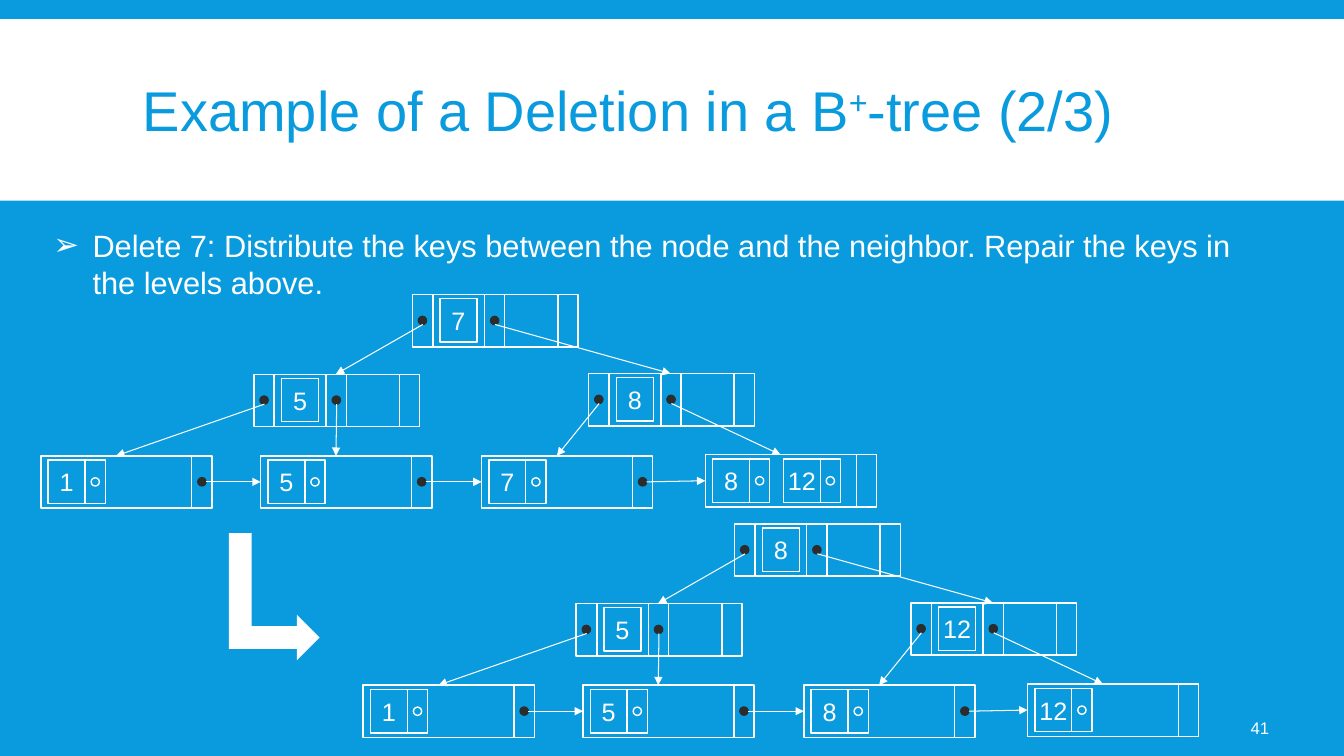
from lxml import etree
from pptx import Presentation
from pptx.dml.color import RGBColor
from pptx.enum.shapes import MSO_CONNECTOR as Connector, MSO_SHAPE as Shape
from pptx.enum.text import MSO_ANCHOR as Anchor, PP_ALIGN as Align
from pptx.oxml.ns import qn
from pptx.util import Pt

BLUE, WHITE, DARK = "099BDD", "FFFFFF", "2C2C2C"
NODE_HEIGHT, POINTER_WIDTH, DOT_SIZE = 37.4, 14.5, 5.9
KEY_WIDTH, KEY_HEIGHT, KEY_GAP = 26.4, 31, 50.5
INNER_BODY_WIDTH, LEAF_BODY_WIDTH = 89.3, 107.8
INNER_POINTERS = (0, 51.6, 103.9)
INNER_POSITIONS = ((152.2, 56.9), (391.3, 56.4))
ROOT_LEFT = 265.3
LEAF_POSITIONS = ((0, 115.2), (157, 115.2), (314.8, 115.2), (474.6, 114.4))


def color(value):
    """Turn a hex string into a colour."""
    return RGBColor.from_string(value)


def add_shape(slide, kind, left, top, width, height, fill=None, line=WHITE):
    """Add a preset shape with an optional fill and outline."""
    shape = slide.shapes.add_shape(kind, Pt(left), Pt(top), Pt(width), Pt(height))
    shape.shadow.inherit = False
    if fill:
        shape.fill.solid()
        shape.fill.fore_color.rgb = color(fill)
    else:
        shape.fill.background()
    if line:
        shape.line.color.rgb = color(line)
        shape.line.width = Pt(1)
    else:
        shape.line.fill.background()
    return shape


def style_font(paragraph, size, value):
    """Set the Arial font of a paragraph."""
    paragraph.font.name = "Arial"
    paragraph.font.size = Pt(size)
    paragraph.font.color.rgb = color(value)


def add_text_box(slide, left, top, width, height, anchor=Anchor.TOP):
    """Add a wrapping text box and return its first paragraph."""
    frame = slide.shapes.add_textbox(Pt(left), Pt(top), Pt(width), Pt(height)).text_frame
    frame.word_wrap = True
    frame.vertical_anchor = anchor
    return frame.paragraphs[0]


def add_arrow(slide, start, end):
    """Draw a thin white arrow between two points."""
    arrow = slide.shapes.add_connector(Connector.STRAIGHT, *map(Pt, start + end))
    arrow.line.color.rgb = color(WHITE)
    arrow.line.width = Pt(0.75)
    etree.SubElement(arrow.line._get_or_add_ln(), qn("a:tailEnd"), type="triangle")
    etree.SubElement(arrow._element.spPr, qn("a:effectLst"))


def add_key(slide, left, top, key):
    """Draw a boxed key."""
    box = add_shape(slide, Shape.RECTANGLE, left, top, KEY_WIDTH, KEY_HEIGHT)
    frame = box.text_frame
    frame.margin_left = frame.margin_right = 0
    frame.vertical_anchor = Anchor.MIDDLE
    paragraph = frame.paragraphs[0]
    paragraph.text = key
    paragraph.alignment = Align.CENTER
    style_font(paragraph, 18, WHITE)


def add_pointer(slide, left, top, filled):
    """Draw a pointer cell, with a dark dot if it is in use."""
    add_shape(slide, Shape.RECTANGLE, left, top, POINTER_WIDTH, NODE_HEIGHT)
    if filled:
        add_shape(slide, Shape.OVAL, left + 4.3, top + 15.6, DOT_SIZE, DOT_SIZE, DARK, DARK)


def add_inner_node(slide, left, top, key):
    """Draw an inner node with one key and two used pointers."""
    add_shape(slide, Shape.RECTANGLE, left + 14.8, top, INNER_BODY_WIDTH, NODE_HEIGHT)
    add_key(slide, left + 19.8, top + 3, key)
    for index, offset in enumerate(INNER_POINTERS):
        add_pointer(slide, left + offset, top, filled=index < 2)


def add_leaf(slide, left, top, keys, linked):
    """Draw a leaf with its keys, their record pointers and the link cell."""
    add_shape(slide, Shape.RECTANGLE, left, top, LEAF_BODY_WIDTH, NODE_HEIGHT)
    for index, key in enumerate(keys):
        key_left, key_top = left + 5.2 + index * KEY_GAP, top + 3.1
        add_key(slide, key_left, key_top, key)
        add_shape(slide, Shape.RECTANGLE, key_left + KEY_WIDTH, key_top, POINTER_WIDTH, KEY_HEIGHT)
        add_shape(slide, Shape.OVAL, key_left + 30.7, key_top + 12.6, DOT_SIZE, DOT_SIZE)
    add_pointer(slide, left + LEAF_BODY_WIDTH, top, filled=linked)


def add_tree(slide, left, top, root_key, inner_keys, leaves):
    """Draw a three-level B+-tree from its top left corner."""
    root = (left + ROOT_LEFT, top)
    inner_nodes = [(left + x, top + y) for x, y in INNER_POSITIONS]
    leaf_nodes = [(left + x, top + y) for x, y in LEAF_POSITIONS]
    add_inner_node(slide, *root, root_key)
    for node, key in zip(inner_nodes, inner_keys):
        add_inner_node(slide, *node, key)
    for index, (node, keys) in enumerate(zip(leaf_nodes, leaves)):
        add_leaf(slide, *node, keys, linked=index < len(leaves) - 1)
    families = [
        (root, inner_nodes, 58.5),
        (inner_nodes[0], leaf_nodes[:2], 53.8),
        (inner_nodes[1], leaf_nodes[2:], 53.8),
    ]
    for (x, y), children, middle in families:
        for offset, (child_x, child_y) in zip(INNER_POINTERS, children):
            add_arrow(slide, (x + offset + 7.5, y + 21.4), (child_x + middle, child_y))
    for (x, y), (next_x, next_y) in zip(leaf_nodes, leaf_nodes[1:]):
        add_arrow(slide, (x + 117.8, y + 18.6), (next_x, next_y + 18.6))


def add_title(slide, left, top, width, height):
    """Place the title on its white band."""
    add_shape(slide, Shape.RECTANGLE, 0, 13.7, 960, 129.6, WHITE, None)
    paragraph = add_text_box(slide, left, top, width, height, Anchor.MIDDLE)
    paragraph.line_spacing = 0.85
    for text in ("Example of a Deletion in a B", "+", "-tree (2/3)"):
        run = paragraph.add_run()
        run.text = text
        if text == "+":
            run._r.get_or_add_rPr().set("baseline", "30000")
    style_font(paragraph, 40, BLUE)


def add_explanation(slide, left, top, width, height):
    """Place the bulleted explanation."""
    paragraph = add_text_box(slide, left, top, width, height)
    paragraph.text = (
        "Delete 7: Distribute the keys between the node and the neighbor. "
        "Repair the keys in the levels above."
    )
    paragraph.space_after = Pt(2)
    properties = paragraph._p.get_or_add_pPr()
    properties.set("marL", str(Pt(28)))
    properties.set("indent", str(Pt(-28)))
    bullet_color = etree.SubElement(properties, qn("a:buClr"))
    etree.SubElement(bullet_color, qn("a:srgbClr"), val=WHITE)
    etree.SubElement(properties, qn("a:buFont"), typeface="Arial")
    etree.SubElement(properties, qn("a:buChar"), char="➢")
    style_font(paragraph, 22, WHITE)


def add_page_number(slide, left, top, width, height):
    """Place the page number."""
    paragraph = add_text_box(slide, left, top, width, height, Anchor.MIDDLE)
    paragraph.text = "41"
    paragraph.alignment = Align.RIGHT
    style_font(paragraph, 12, WHITE)


def main():
    """Build and save the slide."""
    presentation = Presentation()
    presentation.slide_width, presentation.slide_height = Pt(960), Pt(540)
    slide = presentation.slides.add_slide(presentation.slide_layouts[6])
    slide.background.fill.solid()
    slide.background.fill.fore_color.rgb = color(BLUE)
    add_title(slide, 95, 22.3, 770.4, 118.8)
    add_explanation(slide, 31, 158.4, 890, 331.2)
    add_page_number(slide, 839.5, 505.4, 74.2, 28.8)
    add_tree(slide, 29.2, 210.4, "7", ("5", "8"), (("1",), ("5",), ("7",), ("8", "12")))
    add_tree(slide, 259.4, 374.2, "8", ("5", "12"), (("1",), ("5",), ("8",), ("12",)))
    step_arrow = add_shape(slide, Shape.BENT_UP_ARROW, 150.5, 393.8, 90.7, 64.8, WHITE, None)
    step_arrow.rotation = 90
    presentation.save("out.pptx")


if __name__ == "__main__":
    main()
